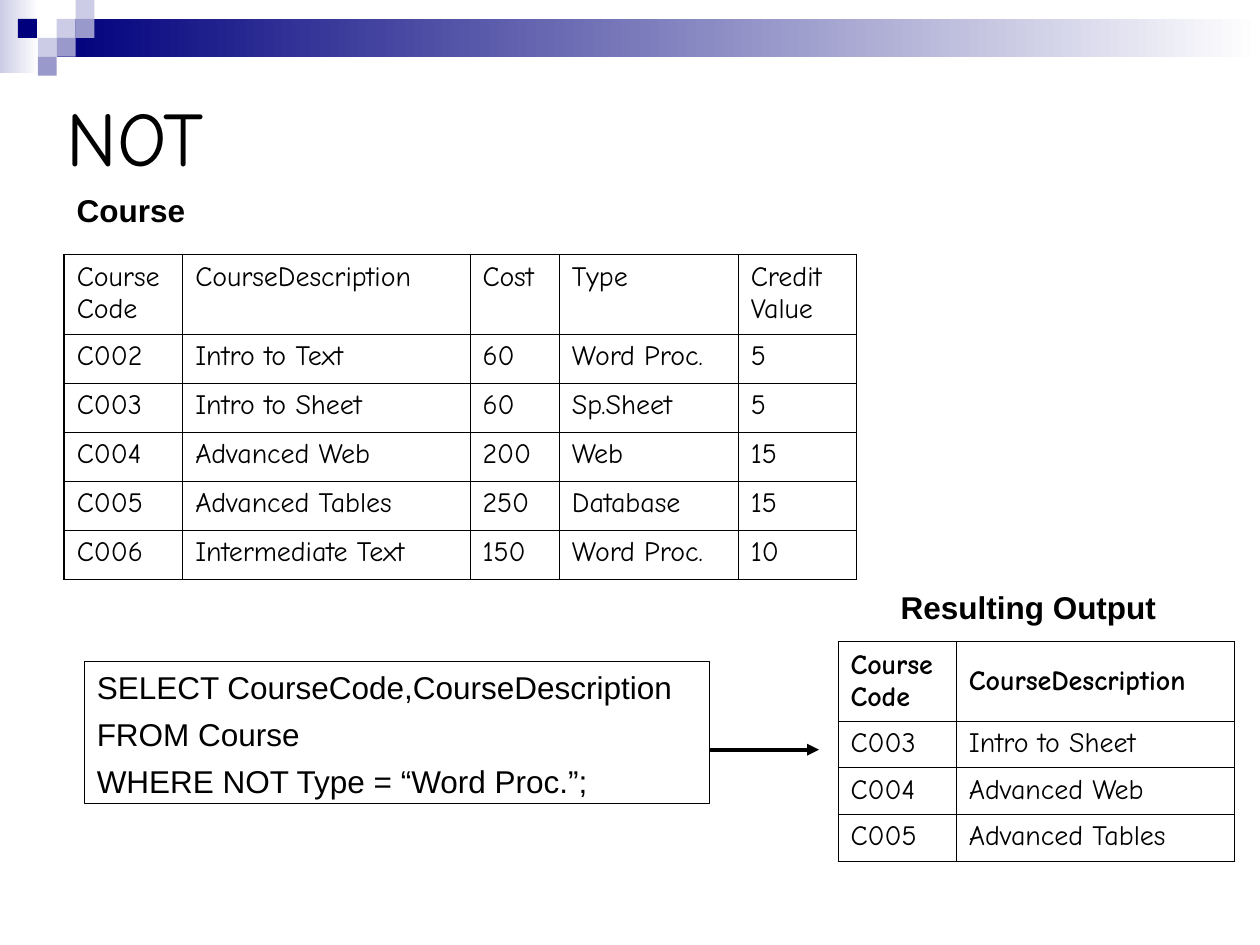
from dataclasses import dataclass

from lxml import etree
from pptx import Presentation, util as u
from pptx.dml.color import RGBColor
from pptx.enum import shapes, text
from pptx.oxml import ns


@dataclass(frozen=True)
class Theme:
    ink: str = "000000"
    white: str = "FFFFFF"
    navy: str = "00007D"
    mid: str = "9999CC"
    pale: str = "CCCCE6"
    hand: str = "Comic Neue"
    sans: str = "Arial"
    head: int = 44
    body: int = 18
    grid: int = 16


T = Theme()
UNIT = 0.15
TILES = [
    (3, 1, T.pale), (4, 0, T.pale), (4, 1, T.mid), (2, 2, T.pale),
    (0.95, 1, T.navy), (3, 2, T.mid), (2, 3, T.mid),
]
COURSE = [
    ["Course Code", "CourseDescription", "Cost", "Type", "Credit Value"],
    ["C002", "Intro to Text", "60", "Word Proc.", "5"],
    ["C003", "Intro to Sheet", "60", "Sp.Sheet", "5"],
    ["C004", "Advanced Web", "200", "Web", "15"],
    ["C005", "Advanced Tables", "250", "Database", "15"],
    ["C006", "Intermediate Text", "150", "Word Proc.", "10"],
]
OUTPUT = [["CourseCode", "CourseDescription"]] + [row[:2] for row in COURSE[2:5]]
QUERY = [
    "SELECT CourseCode,CourseDescription",
    "FROM Course",
    "WHERE NOT Type = “Word Proc.”;",
]


def inch(*vals):
    return [u.Inches(v) for v in vals]


def rgb(code):
    return RGBColor.from_string(code)


def write(frame, lines, gap=0, **form):
    frame.word_wrap = True
    for i, line in enumerate(lines):
        para = frame.paragraphs[0] if i == 0 else frame.add_paragraph()
        para.alignment = text.PP_ALIGN.LEFT
        if i:
            para.space_before = u.Pt(gap)
        run = para.add_run()
        run.text = line
        for key, val in form.items():
            setattr(run.font, key, u.Pt(val) if key == "size" else val)
        run.font.color.rgb = rgb(T.ink)


def block(slide, at, fill=None, fade=None):
    box = slide.shapes.add_shape(shapes.MSO_SHAPE.RECTANGLE, *inch(*at))
    box.shadow.inherit = False
    box.line.fill.background()
    if fade:
        box.fill.gradient()
        box.fill.gradient_angle = 0
        for stop, code in zip(box.fill.gradient_stops, fade):
            stop.color.rgb = rgb(code)
    elif fill:
        box.fill.solid()
        box.fill.fore_color.rgb = rgb(fill)
    else:
        box.fill.background()
    return box


def banner(slide):
    block(slide, (0, 0, 0.31, 0.58), fade=(T.pale, T.white))
    block(slide, (0.45, 0.15, 9.55, 0.3), fade=(T.navy, T.white))
    for col, row, fill in TILES:
        block(slide, (col * UNIT, row * UNIT, UNIT, UNIT), fill)


def title(slide, words):
    hold = slide.shapes.title
    hold.left, hold.top, hold.width, hold.height = inch(0.43, 0.52, 9, 1.12)
    hold.text_frame.vertical_anchor = text.MSO_ANCHOR.MIDDLE
    write(hold.text_frame, [words], name=T.hand, size=T.head)


def label(slide, left, top, words):
    box = slide.shapes.add_textbox(*inch(left, top, 2.91, 0.4))
    write(box.text_frame, [words], name=T.sans, size=T.body, bold=True)


def query(slide):
    box = block(slide, (0.67, 5.25, 4.96, 1.13))
    box.line.color.rgb = rgb(T.ink)
    box.line.width = u.Pt(0.75)
    box.text_frame.vertical_anchor = text.MSO_ANCHOR.TOP
    write(box.text_frame, QUERY, 5.5, name=T.sans, size=T.body)


def arrow(slide, start, end):
    line = slide.shapes.add_connector(
        shapes.MSO_CONNECTOR.STRAIGHT, *inch(*start, *end))
    line.line.color.rgb = rgb(T.ink)
    line.line.width = u.Pt(2.25)
    etree.SubElement(line.line._get_or_add_ln(), ns.qn("a:tailEnd"), type="triangle")
    etree.SubElement(line._element.spPr, ns.qn("a:effectLst"))


def border(cell, sides):
    props = cell._tc.get_or_add_tcPr()
    for i, (side, width) in enumerate(sides.items()):
        edge = etree.Element(ns.qn("a:ln" + side), w=str(u.Pt(width)))
        fill = etree.SubElement(edge, ns.qn("a:solidFill"))
        etree.SubElement(fill, ns.qn("a:srgbClr"), val=T.ink)
        props.insert(i, edge)


def table(slide, left, top, data, wides, highs, thin, thick, bold, anchor):
    size = len(data), len(wides)
    grid = slide.shapes.add_table(
        *size, *inch(left, top, sum(wides), sum(highs))).table
    grid.first_row = grid.horz_banding = False
    for col, wide in zip(grid.columns, wides):
        col.width = u.Inches(wide)
    for r, (row, high) in enumerate(zip(data, highs)):
        grid.rows[r].height = u.Inches(high)
        for c, words in enumerate(row):
            cell = grid.cell(r, c)
            cell.fill.background()
            cell.vertical_anchor = text.MSO_ANCHOR.TOP if r else anchor
            write(cell.text_frame, [words], name=T.hand, size=T.grid,
                  bold=bold and r == 0)
            outer = {"L": c == 0, "R": c == size[1] - 1,
                     "T": r == 0, "B": r == size[0] - 1}
            border(cell, {k: thick if v else thin for k, v in outer.items()})


def main():
    deck = Presentation()
    deck.slide_width, deck.slide_height = inch(10, 7.5)
    slide = deck.slides.add_slide(deck.slide_layouts[5])
    banner(slide)
    title(slide, "NOT")
    table(slide, 0.51, 2.02, COURSE, [0.94, 2.28, 0.71, 1.42, 0.94],
          [0.63] + [0.39] * 5, 0.45, 1.08, False, text.MSO_ANCHOR.TOP)
    query(slide)
    label(slide, 0.51, 1.47, "Course")
    arrow(slide, (5.63, 5.95), (6.5, 5.95))
    label(slide, 7.05, 4.62, "Resulting Output")
    table(slide, 6.65, 5.09, OUTPUT, [0.94, 2.21],
          [0.63] + [0.37] * 3, 0.34, 0.34, True, text.MSO_ANCHOR.MIDDLE)
    deck.save("out.pptx")


if __name__ == "__main__":
    main()
